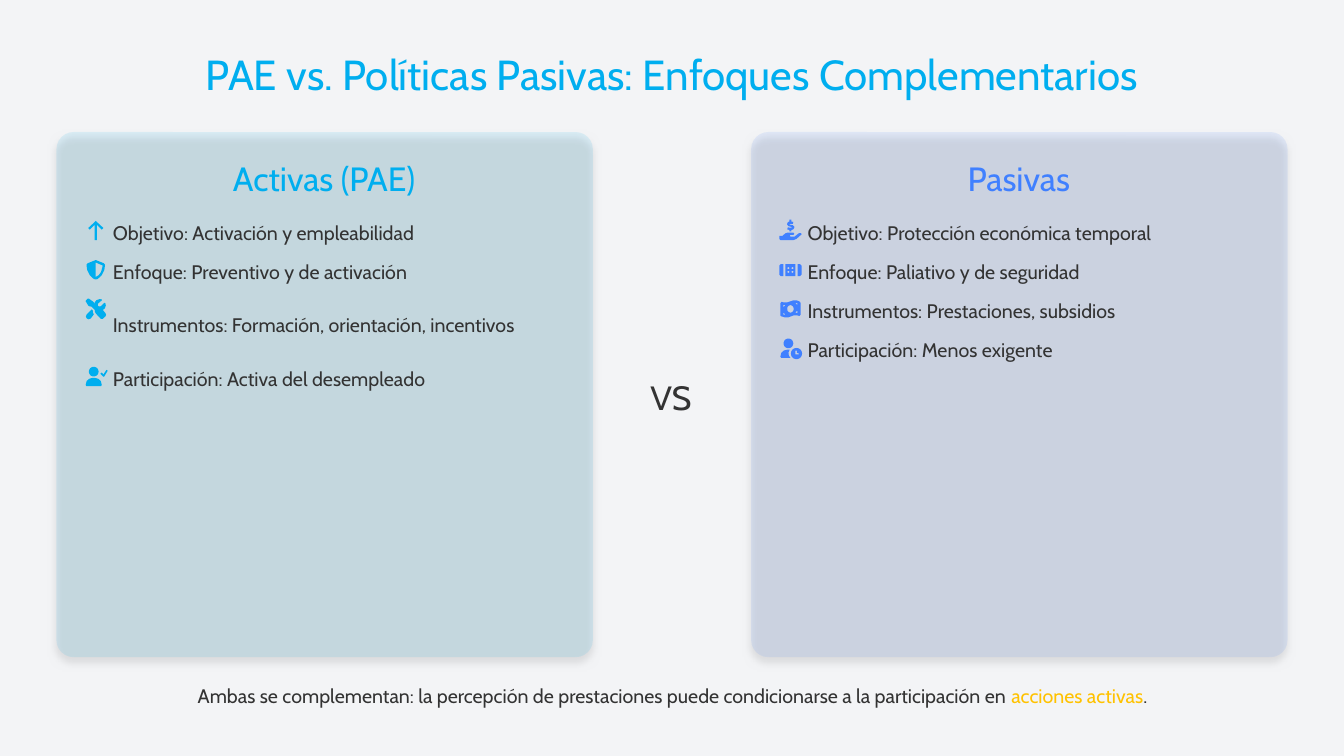
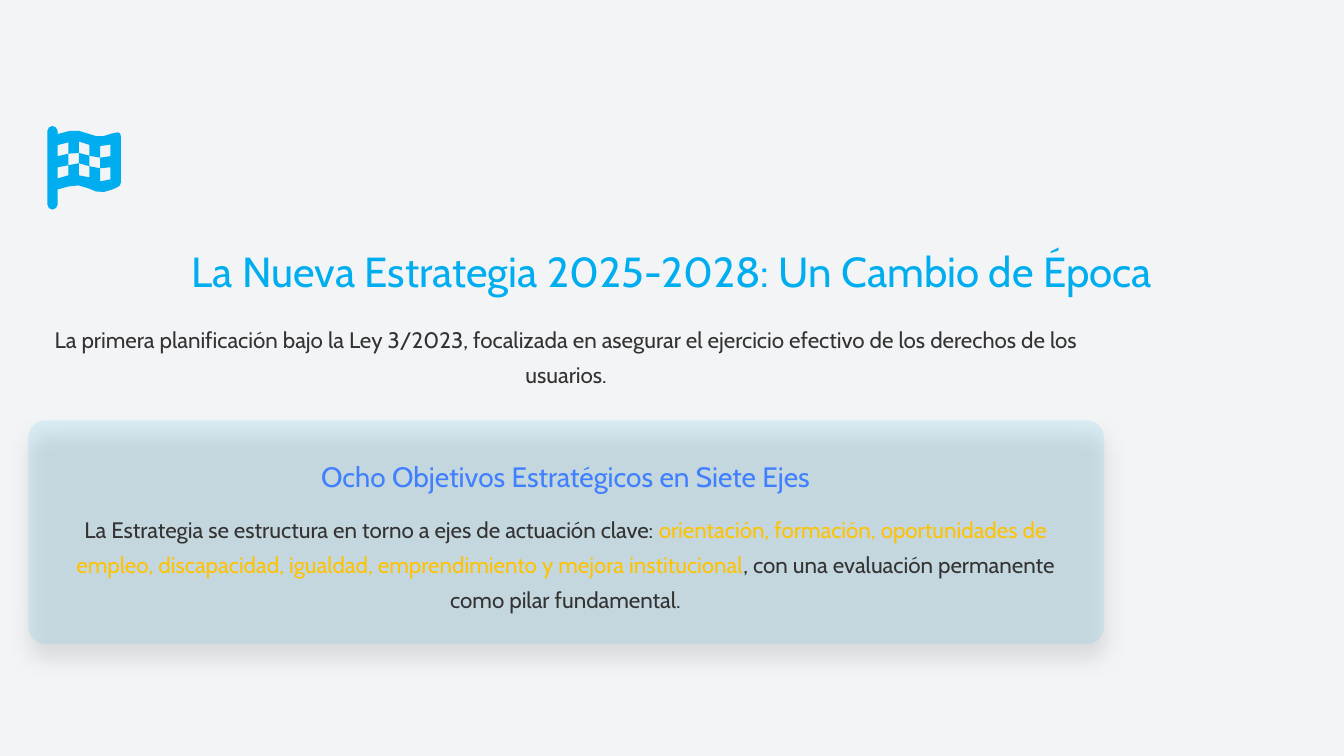
from math import cos, pi, sin

from lxml.etree import SubElement
from pptx import Presentation
from pptx.dml.color import RGBColor
from pptx.enum.shapes import MSO_SHAPE
from pptx.enum.text import MSO_ANCHOR, PP_ALIGN
from pptx.oxml.ns import qn
from pptx.util import Emu, Pt

PX = 9144               # EMU in one px: 100 px to the inch
ICON_UNIT = PX / 10     # icon outlines are drawn on a finer grid
WIDTH, HEIGHT = 1333, 750

FONT = "Cabin"
BACKGROUND, CYAN, BLUE = "F3F4F6", "00AEEF", "4080FF"
DARK, AMBER = "333333", "FFC200"


def oval(cx, cy, rx, ry, steps=32):
    return [(round(cx + rx * cos(2 * pi * i / steps)),
             round(cy + ry * sin(2 * pi * i / steps))) for i in range(steps)]


def box(left, top, right, bottom):
    return [(left, top), (right, top), (right, bottom), (left, bottom)]


HEAD = oval(100, 57, 48, 48)

# Each icon is a list of contours; a contour inside another one is a hole.
ARROW_UP = [[(120, 12), (195, 82), (180, 98), (131, 50), (131, 203), (109, 203),
             (109, 50), (60, 98), (45, 82)]]
SHIELD = [
    [(120, 10), (200, 42), (212, 58), (205, 110), (180, 160), (140, 198), (120, 203),
     (100, 198), (60, 160), (35, 110), (28, 58), (40, 42)],
    [(120, 35), (188, 64), (186, 80), (172, 130), (150, 160), (120, 178)],
]
TOOLS = [
    [(100, 40), (100, 60), (110, 40), (125, 20), (155, 8), (180, 10), (182, 18),
     (145, 50), (140, 60), (140, 72), (150, 80), (165, 80), (175, 75), (205, 45),
     (215, 48), (220, 70), (210, 100), (190, 115), (218, 150), (222, 165),
     (215, 180), (190, 203), (170, 203), (120, 150), (110, 130), (112, 118),
     (78, 82), (60, 80), (48, 75), (20, 30), (22, 20), (40, 3), (50, 2), (90, 30)],
    [(90, 120), (92, 140), (100, 160), (70, 200), (50, 208), (30, 200), (22, 180),
     (30, 160), (80, 110)],
]
USER_CHECK = [
    HEAD,
    [(20, 190), (30, 150), (55, 128), (85, 120), (115, 120), (145, 128), (170, 150),
     (180, 190), (172, 200), (28, 200)],
    [(230, 40), (238, 48), (205, 105), (195, 108), (165, 78), (178, 66), (196, 85),
     (225, 42)],
]
HAND_COIN = [
    [(110, 0), (130, 0), (130, 18), (148, 22), (144, 42), (112, 40), (112, 48),
     (145, 55), (160, 72), (150, 95), (130, 102), (130, 115), (110, 115), (110, 102),
     (88, 96), (94, 76), (130, 80), (134, 72), (100, 64), (86, 46), (94, 24), (110, 18)],
    [(10, 160), (40, 160), (70, 135), (90, 128), (150, 128), (158, 140), (150, 150),
     (120, 150), (112, 160), (120, 168), (160, 168), (205, 133), (225, 132), (230, 145),
     (180, 190), (150, 202), (20, 202), (10, 192)],
]
BANDAGE = [
    [(10, 65), (25, 50), (50, 50), (50, 170), (25, 170), (10, 155)],
    box(70, 50, 170, 170),
    [(190, 50), (215, 50), (230, 65), (230, 155), (215, 170), (190, 170)],
] + [oval(cx, cy, 10, 10, 12) for cx in (100, 140) for cy in (90, 127)]
BANKNOTE = [
    [(20, 170), (20, 50), (30, 35), (60, 42), (90, 40), (150, 20), (190, 22),
     (215, 35), (220, 45), (220, 165), (210, 175), (180, 168), (150, 170), (95, 190),
     (60, 188), (28, 178)],
    oval(120, 105, 32, 37),
    [(50, 140), (72, 162), (50, 162)],
    [(190, 120), (190, 148), (168, 140)],
    [(190, 68), (168, 48), (190, 48)],
    [(50, 65), (72, 65), (50, 88)],
]
USER_CLOCK = [
    HEAD,
    [(20, 190), (30, 150), (55, 128), (85, 120), (112, 120), (100, 150), (105, 180),
     (120, 200), (28, 200)],
    oval(180, 158, 55, 55),
    [(170, 130), (185, 130), (185, 152), (202, 155), (202, 168), (170, 165)],
]
FLAG = [
    [(50, 0), (85, 15), (103, 50), (103, 80), (220, 50), (310, 48), (400, 75),
     (480, 100), (560, 100), (640, 75), (700, 63), (722, 75), (730, 105), (730, 560),
     (720, 590), (690, 610), (640, 632), (560, 655), (480, 650), (410, 620),
     (310, 590), (210, 600), (103, 630), (103, 780), (85, 815), (50, 830), (15, 815),
     (0, 780), (0, 50), (15, 15)],
    [(103, 190), (208, 163), (208, 275), (103, 300)],
    [(103, 410), (208, 390), (208, 490), (103, 520)],
    [(208, 275), (313, 268), (313, 370), (208, 390)],
    [(313, 155), (418, 188), (418, 295), (313, 268)],
    [(313, 370), (418, 400), (418, 510), (313, 490)],
    [(418, 295), (523, 315), (523, 420), (418, 400)],
    [(523, 200), (625, 185), (625, 300), (523, 315)],
    [(523, 420), (625, 410), (625, 530), (523, 550)],
]

# Comparison columns: left edge, colour, heading, rows of (icon, text, width, height)
COLUMNS = [
    (56, CYAN, "Activas (PAE)", [
        (ARROW_UP, "Objetivo: Activación y empleabilidad", 346, 28),
        (SHIELD, "Enfoque: Preventivo y de activación", 335, 28),
        (TOOLS, "Instrumentos: Formación, orientación, incentivos", 456, 56),
        (USER_CHECK, "Participación: Activa del desempleado", 361, 28),
    ]),
    (745, BLUE, "Pasivas", [
        (HAND_COIN, "Objetivo: Protección económica temporal", 392, 28),
        (BANDAGE, "Enfoque: Paliativo y de seguridad", 315, 28),
        (BANKNOTE, "Instrumentos: Prestaciones, subsidios", 356, 28),
        (USER_CLOCK, "Participación: Menos exigente", 288, 28),
    ]),
]
COMPARISON_TITLE = "PAE vs. Políticas Pasivas: Enfoques Complementarios"
CONCLUSION = [
    ("Ambas se complementan: la percepción de prestaciones puede condicionarse "
     "a la participación en ", DARK),
    ("acciones activas", AMBER),
    (".", DARK),
]
STRATEGY_TITLE = "La Nueva Estrategia 2025-2028: Un Cambio de Época"
STRATEGY_INTRO = ("La primera planificación bajo la Ley 3/2023, focalizada en asegurar "
                  "el ejercicio efectivo de los derechos de los usuarios.")
AXES_HEADING = "Ocho Objetivos Estratégicos en Siete Ejes"
AXES = [
    ("La Estrategia se estructura en torno a ejes de actuación clave: ", DARK),
    ("orientación, formación, oportunidades de empleo, discapacidad, igualdad, "
     "emprendimiento y mejora institucional", AMBER),
    (", con una evaluación permanente como pilar fundamental.", DARK),
]

CARD_TOP, CARD_W, CARD_H, CARD_RADIUS = 131, 532, 521, 17
ROW_TOP, ROW_GAP = 214, 11


def rgb(value):
    return RGBColor.from_string(value)


def px(*lengths):
    return [Emu(length * PX) for length in lengths]


def new_slide(prs, title, title_top):
    s = prs.slides.add_slide(prs.slide_layouts[6])
    s.background.fill.solid()
    s.background.fill.fore_color.rgb = rgb(BACKGROUND)
    add_text(s, (0, title_top, WIDTH, 50), [(title, CYAN)], 30, spacing=None)
    return s


def add_text(s, at, runs, size, align=PP_ALIGN.CENTER, spacing=1.2):
    """Add a one-paragraph box from (text, colour) runs."""
    tf = s.shapes.add_textbox(*px(*at)).text_frame
    tf.word_wrap = True
    tf.vertical_anchor = MSO_ANCHOR.MIDDLE
    tf.margin_left = tf.margin_top = tf.margin_right = tf.margin_bottom = 0
    p = tf.paragraphs[0]
    p.alignment = align
    p.line_spacing = spacing
    for text, color in runs:
        r = p.add_run()
        r.text = text
        r.font.name = FONT
        r.font.size = Pt(size)
        r.font.color.rgb = rgb(color)


def paint(sp, color):
    sp.fill.solid()
    sp.fill.fore_color.rgb = rgb(color)
    sp.line.fill.background()
    sp.shadow.inherit = False


def add_card(s, at, color, blur, distance):
    """Add a translucent rounded card with a soft shadow below it."""
    sp = s.shapes.add_shape(MSO_SHAPE.ROUNDED_RECTANGLE, *px(*at))
    sp.adjustments[0] = CARD_RADIUS / min(at[2:])
    paint(sp, color)
    sp_pr = sp._element.spPr
    fill = sp_pr.find(qn("a:solidFill")).find(qn("a:srgbClr"))
    shadow = SubElement(sp_pr.find(qn("a:effectLst")), qn("a:outerShdw"),
                        blurRad=str(Pt(blur)), dist=str(Pt(distance)),
                        dir="5400000", algn="ctr", rotWithShape="0")
    black = SubElement(shadow, qn("a:srgbClr"), val="000000")
    for clr in (fill, black):
        SubElement(clr, qn("a:alpha"), val="10000")


def add_icon(s, left, top, contours, color):
    fb = s.shapes.build_freeform(*contours[0][0], scale=ICON_UNIT)
    for i, (start, *others) in enumerate(contours):
        if i:
            fb.move_to(*start)
        fb.add_line_segments(others, close=True)
    paint(fb.convert_to_shape(*px(left, top)), color)


def add_column(s, left, color, heading, rows):
    add_card(s, (left, CARD_TOP, CARD_W, CARD_H), color, 6, 4)
    add_text(s, (left - 6, 153, CARD_W + 11, 44), [(heading, color)], 24, spacing=1.1)
    top = ROW_TOP
    for icon, text, width, height in rows:
        add_icon(s, left + 27, top + 4, icon, color)
        add_text(s, (left + 56, top, width, height), [(text, DARK)], 14, PP_ALIGN.LEFT)
        top += height + ROW_GAP


def build_comparison(prs):
    s = new_slide(prs, COMPARISON_TITLE, 48)
    for column in COLUMNS:
        add_column(s, *column)
    add_text(s, (645, CARD_TOP, 100, CARD_H), [("VS", DARK)], 24, PP_ALIGN.LEFT, 1.1)
    add_text(s, (28, 674, 1278, 28), CONCLUSION, 14)


def build_strategy(prs):
    s = new_slide(prs, STRATEGY_TITLE, 244)
    add_icon(s, 47, 125, FLAG, CYAN)
    add_text(s, (28, 317, 1067, 67), [(STRATEGY_INTRO, DARK)], 16, spacing=1.3)
    add_card(s, (28, 417, 1067, 222), CYAN, 15, 10)
    add_text(s, (33, 450, 1056, 39), [(AXES_HEADING, BLUE)], 20)
    add_text(s, (61, 506, 1000, 100), AXES, 16, spacing=1.3)


def main():
    prs = Presentation()
    prs.slide_width, prs.slide_height = px(WIDTH, HEIGHT)
    build_comparison(prs)
    build_strategy(prs)
    prs.save("out.pptx")


if __name__ == "__main__":
    main()
